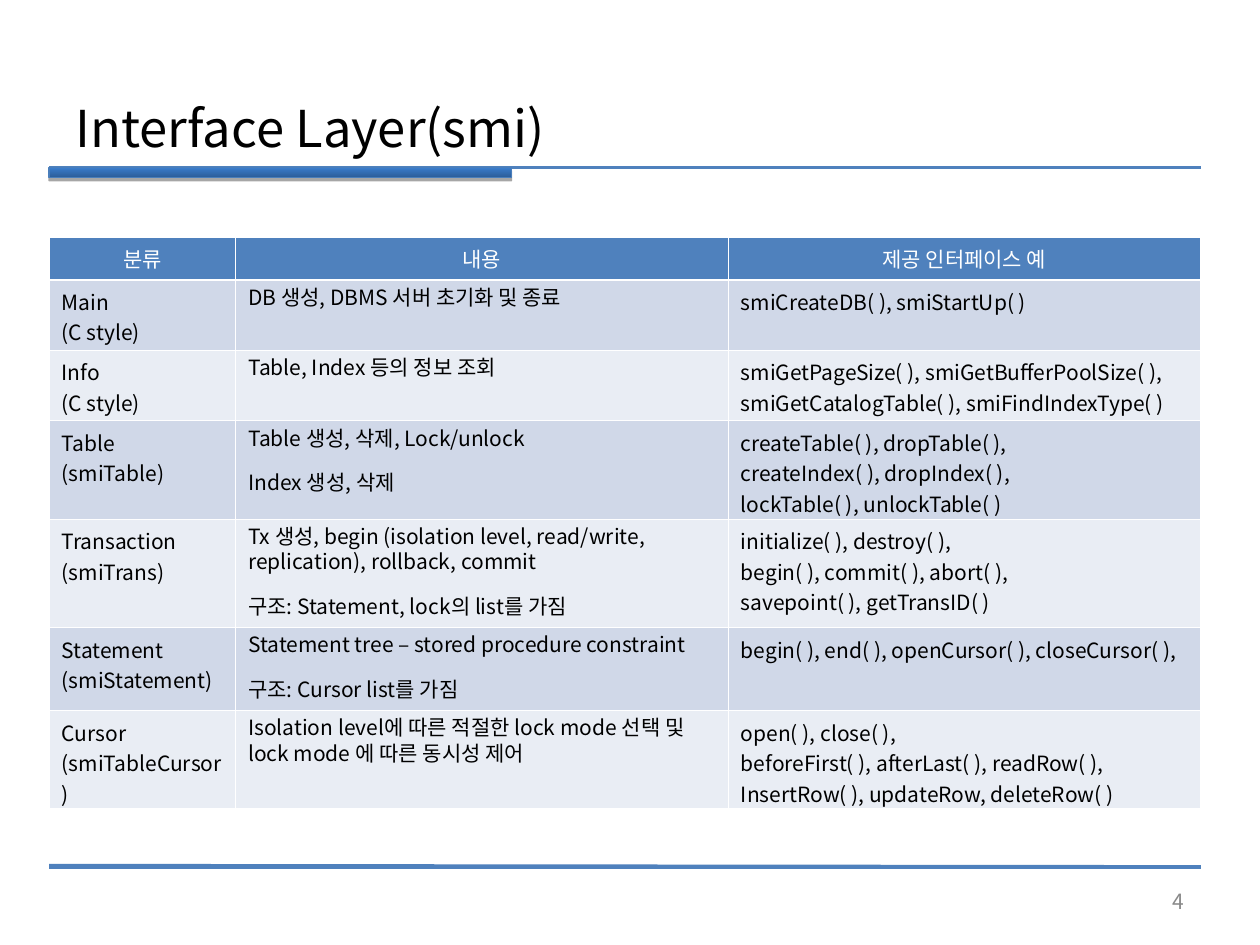
from dataclasses import dataclass

from lxml import etree
from pptx import Presentation
from pptx import util as u
from pptx.dml.color import RGBColor
from pptx.enum import shapes, text
from pptx.oxml.ns import qn


@dataclass(frozen=True)
class Theme:
    face: str = "Noto Sans CJK KR"
    blue: str = "4F81BD"
    edge: str = "4A7EBB"
    dark: str = "2C5D98"
    light: str = "3A7CCB"
    odd: str = "D0D8E8"
    even: str = "E9EDF4"
    ink: str = "000000"
    white: str = "FFFFFF"
    grey: str = "898989"
    head: float = 29
    body: float = 12
    lead: float = 14.4
    gap: float = 11.2
    thin: float = 0.45
    thick: float = 1.47


@dataclass(frozen=True)
class Rule:
    start: float
    end: float


@dataclass(frozen=True)
class Label:
    words: str
    left: float
    top: float
    width: float
    height: float
    size: float
    color: str
    align: text.PP_ALIGN


@dataclass(frozen=True)
class Row:
    height: float
    kind: str
    role: str
    calls: str


T = Theme()
LEFT, RIGHT = 0.39, 9.53
COLS = (1.48, 3.91, 3.75)
RULES = (Rule(6.88, 6.88), Rule(1.33, 1.33), Rule(6.87, 6.88))
LABELS = (
    Label("Interface Layer(smi)", 0.5, 0.7, 9, 0.62, T.head, T.ink, text.PP_ALIGN.LEFT),
    Label("4", 7.17, 6.95, 2.33, 0.4, T.body, T.grey, text.PP_ALIGN.RIGHT),
)
ROWS = (
    Row(0.34, "분류", "내용", "제공 인터페이스 예"),
    Row(0.56, "Main\n(C style)", "DB 생성, DBMS 서버 초기화 및 종료",
        "smiCreateDB( ), smiStartUp( )"),
    Row(0.56, "Info\n(C style)", "Table, Index 등의 정보 조회",
        "smiGetPageSize( ), smiGetBufferPoolSize( ),\n"
        "smiGetCatalogTable( ), smiFindIndexType( )"),
    Row(0.78, "Table\n(smiTable)", "Table 생성, 삭제, Lock/unlock\nIndex 생성, 삭제",
        "createTable( ), dropTable( ),\ncreateIndex( ), dropIndex( ),\n"
        "lockTable( ), unlockTable( )"),
    Row(0.86, "Transaction\n(smiTrans)",
        "Tx 생성, begin (isolation level, read/write, replication), rollback, commit\n"
        "구조: Statement, lock의 list를 가짐",
        "initialize( ), destroy( ),\nbegin( ), commit( ), abort( ),\n"
        "savepoint( ), getTransID( )"),
    Row(0.66, "Statement\n(smiStatement)",
        "Statement tree – stored procedure constraint\n구조: Cursor list를 가짐",
        "begin( ), end( ), openCursor( ), closeCursor( ),"),
    Row(0.78, "Cursor\n(smiTableCursor)",
        "Isolation level에 따른 적절한 lock mode 선택 및 lock mode 에 따른 동시성 제어",
        "open( ), close( ),\n"
        "beforeFirst( ), afterLast( ), readRow( ), InsertRow( ), updateRow, deleteRow( )"),
)


def add_node(top, tag: str, **attrs: str):
    return etree.SubElement(top, qn(tag), attrs)


def style(para, size: float, color: str, align: text.PP_ALIGN) -> None:
    para.alignment = align
    font = para.font
    font.size, font.name, font.bold = u.Pt(size), T.face, False
    font.color.rgb = RGBColor.from_string(color)
    add_node(para._p.pPr.find(qn("a:defRPr")), "a:ea", typeface=T.face)


def add_rule(slide, rule: Rule) -> None:
    line = slide.shapes.add_connector(
        shapes.MSO_CONNECTOR.STRAIGHT,
        u.Inches(LEFT), u.Inches(rule.start), u.Inches(RIGHT), u.Inches(rule.end))
    line.line.color.rgb = RGBColor.from_string(T.blue)
    line.line.width = u.Pt(2)
    add_node(line._element.spPr, "a:effectLst")


def add_bar(slide) -> None:
    bar = slide.shapes.add_shape(
        shapes.MSO_SHAPE.RECTANGLE,
        u.Inches(LEFT), u.Inches(1.33), u.Inches(3.67), u.Inches(0.08))
    bar.fill.gradient()
    bar.fill.gradient_angle = 90
    for stop, color in zip(bar.fill.gradient_stops, (T.dark, T.light)):
        stop.color.rgb = RGBColor.from_string(color)
    bar.line.color.rgb = RGBColor.from_string(T.edge)
    bar.line.width = u.Pt(0.75)
    bar.shadow.inherit = False
    glow = add_node(bar._element.spPr.find(qn("a:effectLst")), "a:outerShdw",
                    blurRad="0", dist=str(u.Pt(1.8)), dir="5400000", rotWithShape="0")
    tint = add_node(glow, "a:srgbClr", val=T.ink)
    add_node(tint, "a:alpha", val="35000")


def add_label(slide, label: Label) -> None:
    box = slide.shapes.add_textbox(
        u.Inches(label.left), u.Inches(label.top),
        u.Inches(label.width), u.Inches(label.height))
    frame = box.text_frame
    frame.word_wrap = True
    frame.vertical_anchor = text.MSO_ANCHOR.MIDDLE
    frame.text = label.words
    style(frame.paragraphs[0], label.size, label.color, label.align)


def add_edge(cell, side: str, width: float) -> None:
    edge = add_node(cell._tc.get_or_add_tcPr(), f"a:{side}", w=str(u.Pt(width)))
    fill = add_node(edge, "a:solidFill")
    add_node(fill, "a:srgbClr", val=T.white)


def fill_cell(cell, words: str, row: int, col: int) -> None:
    head = row == 0
    for side in ("lnL", "lnR", "lnT", "lnB"):
        heavy = (row, side) in ((0, "lnB"), (1, "lnT"))
        add_edge(cell, side, T.thick if heavy else T.thin)
    cell.fill.solid()
    shade = T.blue if head else T.odd if row % 2 else T.even
    cell.fill.fore_color.rgb = RGBColor.from_string(shade)
    cell.margin_left = cell.margin_right = u.Inches(0.1)
    cell.margin_top = cell.margin_bottom = u.Inches(0.05)
    cell.text_frame.text = words
    for n, para in enumerate(cell.text_frame.paragraphs):
        if col == 1 and not head:
            para.line_spacing = u.Pt(T.lead)
            if n:
                para.space_before = u.Pt(T.gap)
        style(para, T.body, T.white if head else T.ink,
              text.PP_ALIGN.CENTER if head else text.PP_ALIGN.LEFT)


def add_grid(slide, rows: tuple[Row, ...]) -> None:
    grid = slide.shapes.add_table(
        len(rows), len(COLS), u.Inches(LEFT), u.Inches(1.88),
        u.Inches(sum(COLS)), u.Inches(sum(r.height for r in rows))).table
    for col, width in zip(grid.columns, COLS):
        col.width = u.Inches(width)
    for i, row in enumerate(rows):
        grid.rows[i].height = u.Inches(row.height)
        for j, words in enumerate((row.kind, row.role, row.calls)):
            fill_cell(grid.cell(i, j), words, i, j)


def main() -> None:
    deck = Presentation()
    deck.slide_width, deck.slide_height = u.Inches(10), u.Inches(7.5)
    slide = deck.slides.add_slide(deck.slide_layouts[6])
    for rule in RULES:
        add_rule(slide, rule)
    add_bar(slide)
    for label in LABELS:
        add_label(slide, label)
    add_grid(slide, ROWS)
    deck.save("out.pptx")


if __name__ == "__main__":
    main()
